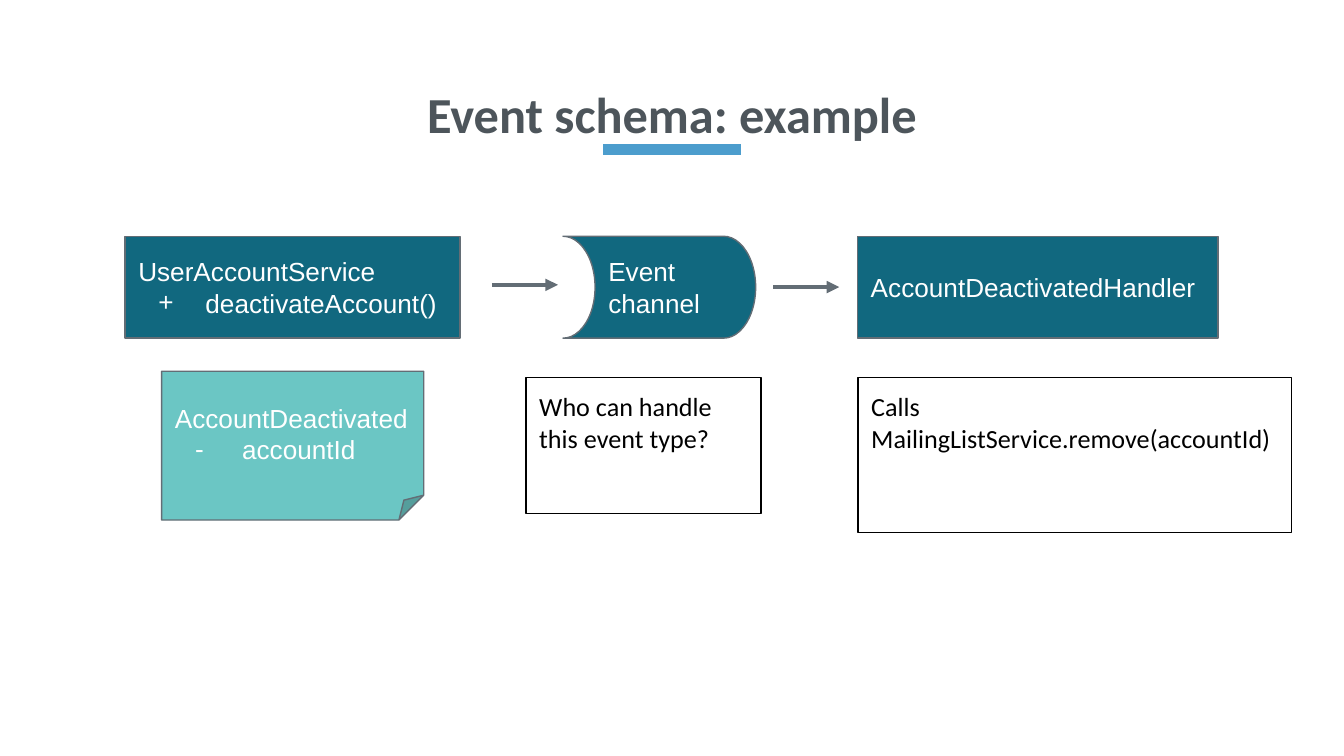
from lxml.etree import SubElement
from pptx import Presentation
from pptx.dml.color import RGBColor
from pptx.enum.shapes import MSO_CONNECTOR, MSO_SHAPE
from pptx.enum.text import MSO_ANCHOR, PP_ALIGN
from pptx.oxml.ns import qn
from pptx.util import Pt

WHITE = RGBColor(0xFF, 0xFF, 0xFF)
BLACK = RGBColor(0x00, 0x00, 0x00)
HEADING = RGBColor(0x4D, 0x55, 0x5B)
ACCENT = RGBColor(0x4C, 0x9D, 0xCD)
PETROL = RGBColor(0x11, 0x68, 0x7F)
MINT = RGBColor(0x6B, 0xC6, 0xC4)
GRAY = RGBColor(0x63, 0x6D, 0x75)


def format_text(paragraph, text, font="Arial", size=14, color=WHITE, bold=False,
                align=PP_ALIGN.LEFT, bullet=None):
    paragraph.alignment = align
    run = paragraph.add_run()
    run.text = text
    run.font.name = font
    run.font.size = Pt(size)
    run.font.color.rgb = color
    run.font.bold = bold
    if bullet:
        properties = paragraph._p.get_or_add_pPr()
        properties.set("marL", str(Pt(36)))
        properties.set("indent", str(Pt(-25.2)))
        bullet_color = SubElement(properties, qn("a:buClr"))
        SubElement(bullet_color, qn("a:srgbClr"), val=str(color))
        SubElement(properties, qn("a:buFont"), typeface=font)
        SubElement(properties, qn("a:buChar"), char=bullet)


def add_line(slide, left, top, length, color, width, arrow=False):
    connector = slide.shapes.add_connector(
        MSO_CONNECTOR.STRAIGHT, Pt(left), Pt(top), Pt(left + length), Pt(top))
    connector.line.color.rgb = color
    connector.line.width = Pt(width)
    if arrow:
        SubElement(connector.line._get_or_add_ln(), qn("a:tailEnd"), type="triangle")
    SubElement(connector.element.spPr, qn("a:effectLst"))


def add_box(slide, box, text, kind=MSO_SHAPE.RECTANGLE, fill=PETROL, line=GRAY,
            member=None, bullet=None, anchor=MSO_ANCHOR.MIDDLE, **text_format):
    shape = slide.shapes.add_shape(kind, *map(Pt, box))
    shape.shadow.inherit = False
    if fill is None:
        shape.fill.background()
    else:
        shape.fill.solid()
        shape.fill.fore_color.rgb = fill
    shape.line.color.rgb = line
    shape.line.width = Pt(0.75)
    frame = shape.text_frame
    frame.word_wrap = True
    frame.vertical_anchor = anchor
    frame.margin_left = frame.margin_right = Pt(7.2)
    frame.margin_top = frame.margin_bottom = Pt(7.2)
    format_text(frame.paragraphs[0], text, **text_format)
    if member:
        format_text(frame.add_paragraph(), member, bullet=bullet, **text_format)
    return shape


def add_title(slide, box, text):
    left, top, width, height = box
    add_line(slide, left + width / 2 - 36.75, top + height - 0.6, 73.5, ACCENT, 6)
    title = slide.shapes.title
    title.left, title.top, title.width, title.height = map(Pt, box)
    frame = title.text_frame
    frame.word_wrap = True
    frame.vertical_anchor = MSO_ANCHOR.BOTTOM
    frame.margin_left = frame.margin_right = Pt(7.2)
    frame.margin_top = frame.margin_bottom = Pt(3.6)
    frame.paragraphs[0].line_spacing = 0.8
    format_text(frame.paragraphs[0], text, font="Calibri", size=27, color=HEADING,
                bold=True, align=PP_ALIGN.CENTER)


def add_event_flow(slide, box):
    left, top, width, height = box
    add_box(slide, (left, top, 179.5, height), "UserAccountService",
            member="deactivateAccount()", bullet="+")
    channel = add_box(slide, (left + 234.6, top, 103.2, height), "Event channel",
                      kind=MSO_SHAPE.FLOWCHART_STORED_DATA)
    channel.element.spPr.xfrm.set("flipH", "1")
    add_box(slide, (left + width - 193.2, top, 193.2, height), "AccountDeactivatedHandler")
    for offset, drop in ((196.5, 26), (347.2, 27.2)):
        add_line(slide, left + offset, top + drop, 35.4, GRAY, 2.25, arrow=True)


def add_event_details(slide, box):
    left, top, width, height = box
    add_box(slide, (left, top, 140.4, 79.7), "AccountDeactivated",
            kind=MSO_SHAPE.FOLDED_CORNER, fill=MINT, member="accountId", bullet="-")
    remarks = ((195.2, 126, 73.1, "Who can handle this event type?"),
               (width - 232.4, 232.4, height - 3.2, "Calls MailingListService.remove(accountId)"))
    for offset, remark_width, remark_height, text in remarks:
        add_box(slide, (left + offset, top + 3.2, remark_width, remark_height), text,
                fill=None, line=BLACK, anchor=MSO_ANCHOR.TOP, font="Calibri", color=BLACK)


def add_schema_slide(presentation):
    slide = presentation.slides.add_slide(presentation.slide_layouts[5])
    add_title(slide, (24.5, 35.3, 671, 45.3), "Event schema: example")
    add_event_flow(slide, (67, 126.6, 585.6, 54.6))
    add_event_details(slide, (86.6, 198.9, 605.4, 86.3))


presentation = Presentation()
presentation.slide_width = Pt(720)
presentation.slide_height = Pt(405)
add_schema_slide(presentation)
presentation.save("out.pptx")
